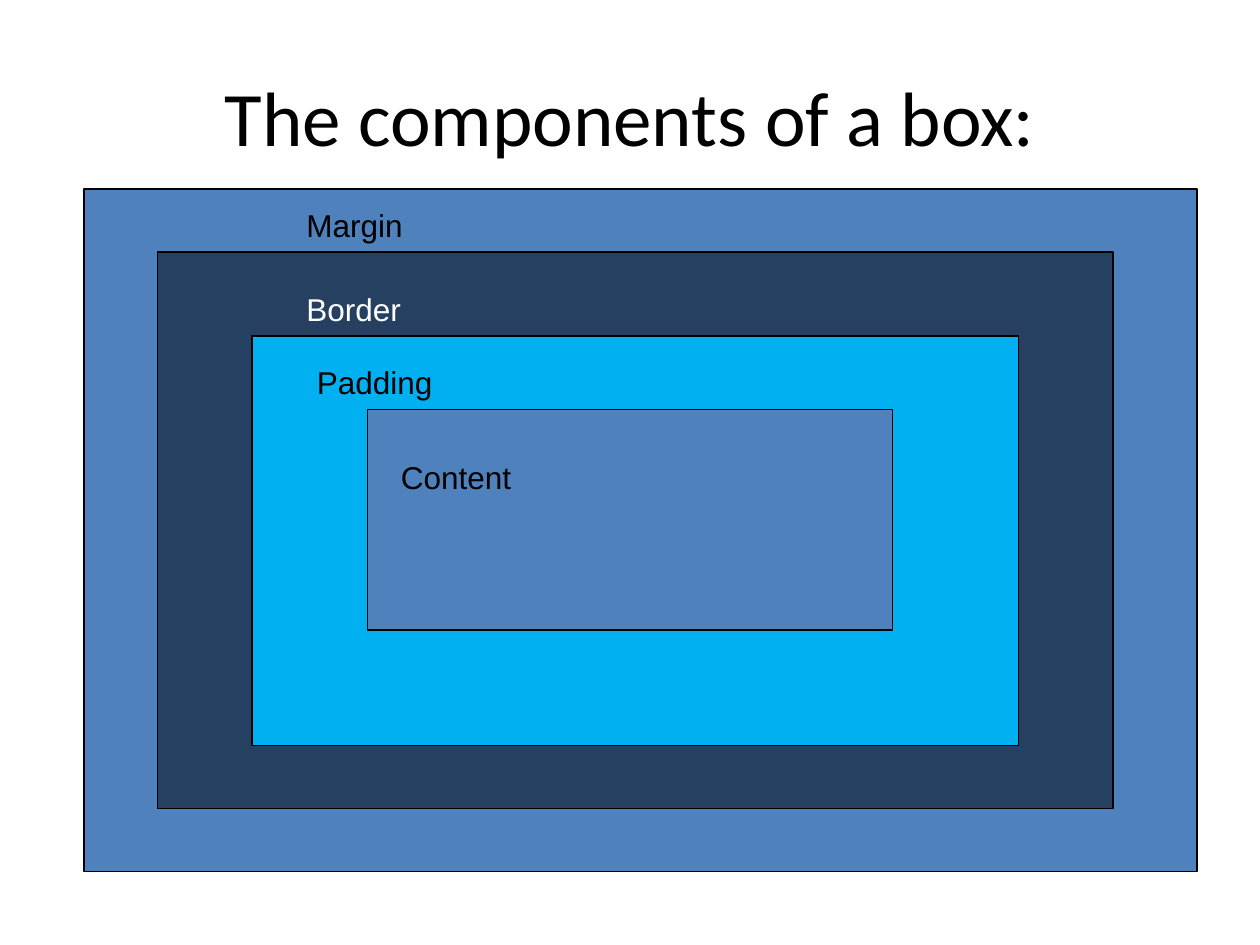
from pptx import Presentation
from pptx.dml.color import RGBColor
from pptx.enum.shapes import MSO_SHAPE as Preset
from pptx.enum.text import MSO_ANCHOR as Anchor, MSO_AUTO_SIZE as AutoSize, PP_ALIGN as Align
from pptx.util import Pt

COLORS = {
    "black": "000000",
    "white": "FFFFFF",
    "blue": "4F81BD",
    "navy": "254061",
    "cyan": "00B0F0",
}


class BoxModelSlide:
    """Draws the layers and labels of the box model on one slide."""

    def __init__(self, slide):
        self.slide = slide
        self.title_font, self.title_size = "Calibri", 44
        self.label_font, self.label_size = "Arial", 18
        self.outline = 0.75

    def color(self, name):
        return RGBColor.from_string(COLORS[name])

    def add_text(self, frame, text, font, size, color):
        frame.word_wrap = True
        run = frame.paragraphs[0].add_run()
        run.text = text
        run.font.name = font
        run.font.size = Pt(size)
        run.font.color.rgb = self.color(color)

    def title(self, text, bounds):
        frame = self.slide.shapes.add_textbox(*map(Pt, bounds)).text_frame
        self.add_text(frame, text, self.title_font, self.title_size, "black")
        frame.vertical_anchor = Anchor.MIDDLE
        frame.paragraphs[0].alignment = Align.CENTER

    def layer(self, fill, bounds):
        layer = self.slide.shapes.add_shape(Preset.RECTANGLE, *map(Pt, bounds))
        layer.shadow.inherit = False
        layer.fill.solid()
        layer.fill.fore_color.rgb = self.color(fill)
        layer.line.color.rgb = self.color("black")
        layer.line.width = Pt(self.outline)

    def label(self, text, color, left, top, width):
        bounds = map(Pt, (left, top, width, 29))
        frame = self.slide.shapes.add_textbox(*bounds).text_frame
        self.add_text(frame, text, self.label_font, self.label_size, color)
        frame.auto_size = AutoSize.SHAPE_TO_FIT_TEXT


def main():
    deck = Presentation()
    deck.slide_width, deck.slide_height = Pt(720), Pt(540)
    box_model = BoxModelSlide(deck.slides.add_slide(deck.slide_layouts[6]))

    box_model.title("The components of a box:", (36, 36, 648, 60))
    parts = [
        ("Margin", "blue", (48, 108, 636, 390), "black", (168, 114, 162)),
        ("Border", "navy", (90, 144, 546, 318), "white", (168, 162, 90)),
        ("Padding", "cyan", (144, 192, 438, 234), "black", (174, 204, 96)),
        ("Content", "blue", (210, 234, 300, 126), "black", (222, 258, 258)),
    ]
    for name, fill, bounds, text_color, label_place in parts:
        box_model.layer(fill, bounds)
        box_model.label(name, text_color, *label_place)

    deck.save("out.pptx")


if __name__ == "__main__":
    main()
